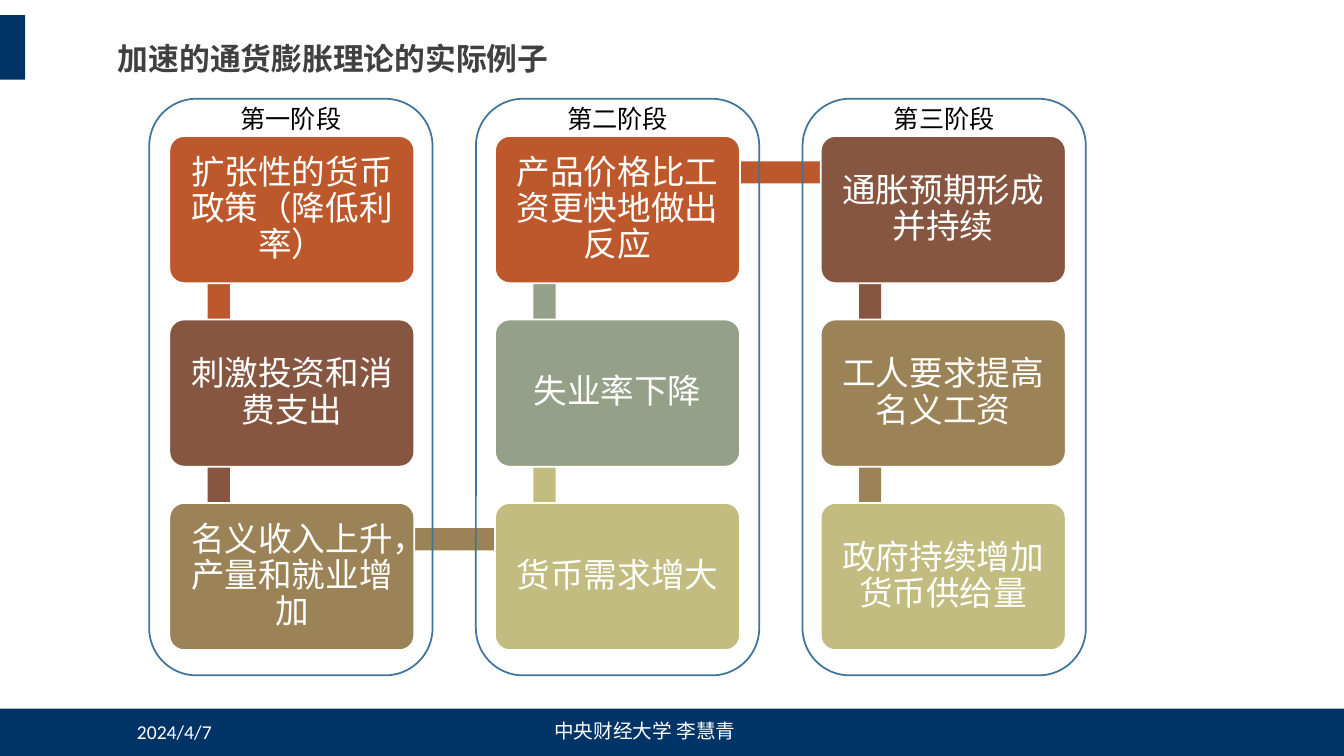
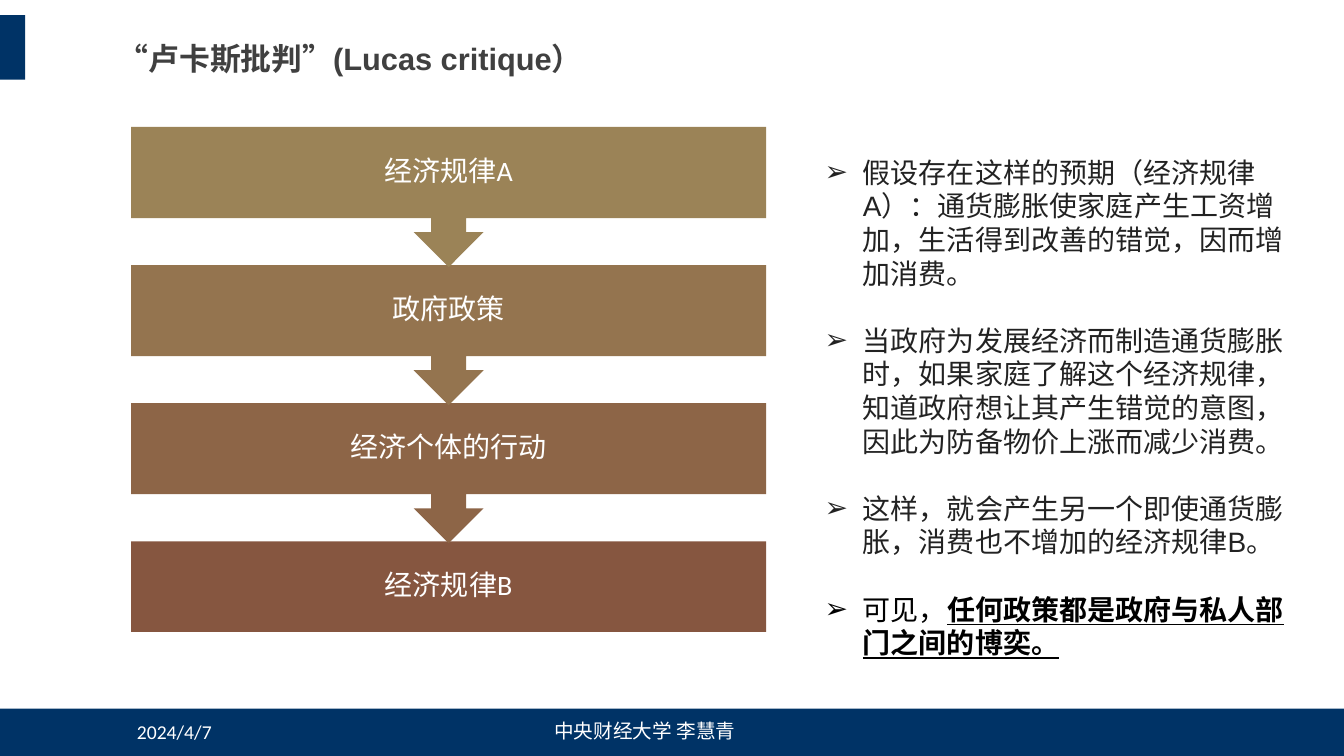
import lxml.etree
import pptx
import pptx.dml.color
import pptx.enum.lang
import pptx.enum.shapes
import pptx.enum.text
import pptx.oxml.ns
import pptx.util

SHAPE = pptx.enum.shapes.MSO_SHAPE
ALIGN = pptx.enum.text.PP_ALIGN
ANCHOR = pptx.enum.text.MSO_ANCHOR
CHINESE = pptx.enum.lang.MSO_LANGUAGE_ID.SIMPLIFIED_CHINESE
SCALE = 9144  # EMU in one px, 100 px to the inch

COLORS = {
    "navy": "003366", "title": "404040", "body": "222222", "black": "000000",
    "white": "FFFFFF", "frame": "40749B", "rust": "BD582C", "brown": "865640",
    "tan": "9B8357", "sand": "C2BC80", "sage": "94A088",
    "clay": "8D6547", "bronze": "94744F",
}

DATE = "2024/4/7"
AUTHOR = "中央财经大学 李慧青"

STAGE_TITLE = "加速的通货膨胀理论的实际例子"
STAGES = ["第一阶段", "第二阶段", "第三阶段"]
STEPS = [
    "扩张性的货币政策（降低利率）", "刺激投资和消费支出", "名义收入上升，产量和就业增加",
    "货币需求增大", "失业率下降", "产品价格比工资更快地做出反应",
    "通胀预期形成并持续", "工人要求提高名义工资", "政府持续增加货币供给量",
]
CYCLE = ["rust", "brown", "tan", "sand", "sage"]

LUCAS_TITLE = "“卢卡斯批判”(Lucas critique）"
CHAIN = [("经济规律A", "tan"), ("政府政策", "bronze"),
         ("经济个体的行动", "clay"), ("经济规律B", "brown")]
POINTS = [
    "假设存在这样的预期（经济规律A）：通货膨胀使家庭产生工资增加，生活得到改善的错觉，因而增加消费。",
    "当政府为发展经济而制造通货膨胀时，如果家庭了解这个经济规律，"
    "知道政府想让其产生错觉的意图，因此为防备物价上涨而减少消费。",
    "这样，就会产生另一个即使通货膨胀，消费也不增加的经济规律B。",
    [("可见，", {"font": "Calibri", "color": "black"}),
     ("任何政策都是政府与私人部门之间的博奕。",
      {"font": "Calibri", "color": "black", "bold": True, "line": True})],
]


def px(*sizes):
    return [pptx.util.Emu(size * SCALE) for size in sizes]


def tint(name):
    return pptx.dml.color.RGBColor.from_string(COLORS[name])


def style(run, size=18, font="Calibri", color="white", bold=False, line=False):
    face = run.font
    face.size, face.name = pptx.util.Pt(size), font
    face.bold, face.underline = bold, line
    face.color.rgb = tint(color)
    face.language_id = CHINESE


def bullet(para, mark, indent):
    props = para._p.get_or_add_pPr()
    width = indent * SCALE
    props.set("marL", str(width))
    props.set("indent", str(-width))
    for tag, key, value in (("a:buFont", "typeface", "Arial"),
                            ("a:buChar", "char", mark)):
        lxml.etree.SubElement(props, pptx.oxml.ns.qn(tag)).set(key, value)


def write(shape, *paras, inset=(10, 5, 10, 5), anchor=ANCHOR.TOP,
          align=ALIGN.LEFT, space=None, gap=0, mark=None, **face):
    """Fill a shape with paragraphs, each a string or a list of (text, format) runs."""
    frame = shape.text_frame
    frame.word_wrap, frame.vertical_anchor = True, anchor
    (frame.margin_left, frame.margin_top,
     frame.margin_right, frame.margin_bottom) = px(*inset)
    for i, runs in enumerate(paras):
        para = frame.add_paragraph() if i else frame.paragraphs[0]
        if mark:
            bullet(para, mark, 38)
        para.alignment = align
        if space:
            para.line_spacing = space
        if i and gap:
            para.space_before = pptx.util.Pt(gap)
        for text, extra in [(runs, {})] if isinstance(runs, str) else runs:
            run = para.add_run()
            run.text = text
            style(run, **{**face, **extra})


def label(slide, place, *paras, **form):
    write(slide.shapes.add_textbox(*px(*place)), *paras, **form)


def draw(slide, kind, place, fill=None, line=None):
    shape = slide.shapes.add_shape(kind, *px(*place))
    shape.shadow.inherit = False
    if fill:
        shape.fill.solid()
        shape.fill.fore_color.rgb = tint(fill)
    else:
        shape.fill.background()
    if line:
        shape.line.color.rgb = tint(line)
        shape.line.width = pptx.util.Pt(1.25)
    else:
        shape.line.fill.background()
    return shape


def start(deck, title):
    """Add a slide with the shared bands, footer and title."""
    slide = deck.slides.add_slide(deck.slide_layouts[6])
    draw(slide, SHAPE.RECTANGLE, (0, 703, 1333, 47), "navy")
    draw(slide, SHAPE.RECTANGLE, (0, 15, 25, 64), "navy")
    label(slide, (126, 709, 270, 40), DATE, size=14)
    label(slide, (540, 708, 220, 40), AUTHOR, size=14)
    label(slide, (117, 39, 1100, 68), title, inset=(0, 5, 0, 5), space=0.9,
          size=22, font="Arial", color="title", bold=True)
    return slide


def stages(deck):
    """Nine steps that run down, up and down again through three stages."""
    slide = start(deck, STAGE_TITLE)
    rows, bar = 3, 22
    wide, high, across, down = 243, 146, 323, 182
    cells = []
    for i, text in enumerate(STEPS):
        col, row = divmod(i, rows)
        if col % 2:
            row = rows - 1 - row
        cells.append((168 + col * across, 135 + row * down,
                      text, CYCLE[i % len(CYCLE)]))
    for (x, y, _, color), (after, below, _, _) in zip(cells, cells[1:]):
        if x == after:
            place = (x + 38, min(y, below) + 37, bar, down)
        else:
            place = (x + 50, y + 25, across, bar)
        draw(slide, SHAPE.RECTANGLE, place, color)
    for x, y, text, color in cells:
        box = draw(slide, SHAPE.ROUNDED_RECTANGLE, (x, y, wide, high), color, "white")
        box.adjustments[0] = 0.1
        write(box, text, inset=(10,) * 4, anchor=ANCHOR.MIDDLE,
              align=ALIGN.CENTER, space=0.9, size=24)
    for i, name in enumerate(STAGES):
        x = 148 + i * 324
        draw(slide, SHAPE.ROUNDED_RECTANGLE, (x, 98, 281, 572), line="frame")
        label(slide, (x, 98, 281, 40), name, align=ALIGN.CENTER, color="black")


def lucas(deck):
    slide = start(deck, LUCAS_TITLE)
    label(slide, (808, 149, 480, 515), *POINTS, mark="➢", gap=24,
          size=20, font="Arial", color="body")
    body, full, last = 90, 139, len(CHAIN) - 1
    for i, (text, color) in reversed(list(enumerate(CHAIN))):
        kind = SHAPE.RECTANGLE if i == last else SHAPE.DOWN_ARROW_CALLOUT
        high = body if i == last else full
        box = draw(slide, kind, (130, 126 + i * 137, 630, high), color)
        write(box, text, inset=(16,) * 4, anchor=ANCHOR.MIDDLE,
              align=ALIGN.CENTER, space=0.9, size=20)


def main():
    deck = pptx.Presentation()
    deck.slide_width, deck.slide_height = px(1333, 750)
    stages(deck)
    lucas(deck)
    deck.save("out.pptx")


if __name__ == "__main__":
    main()
